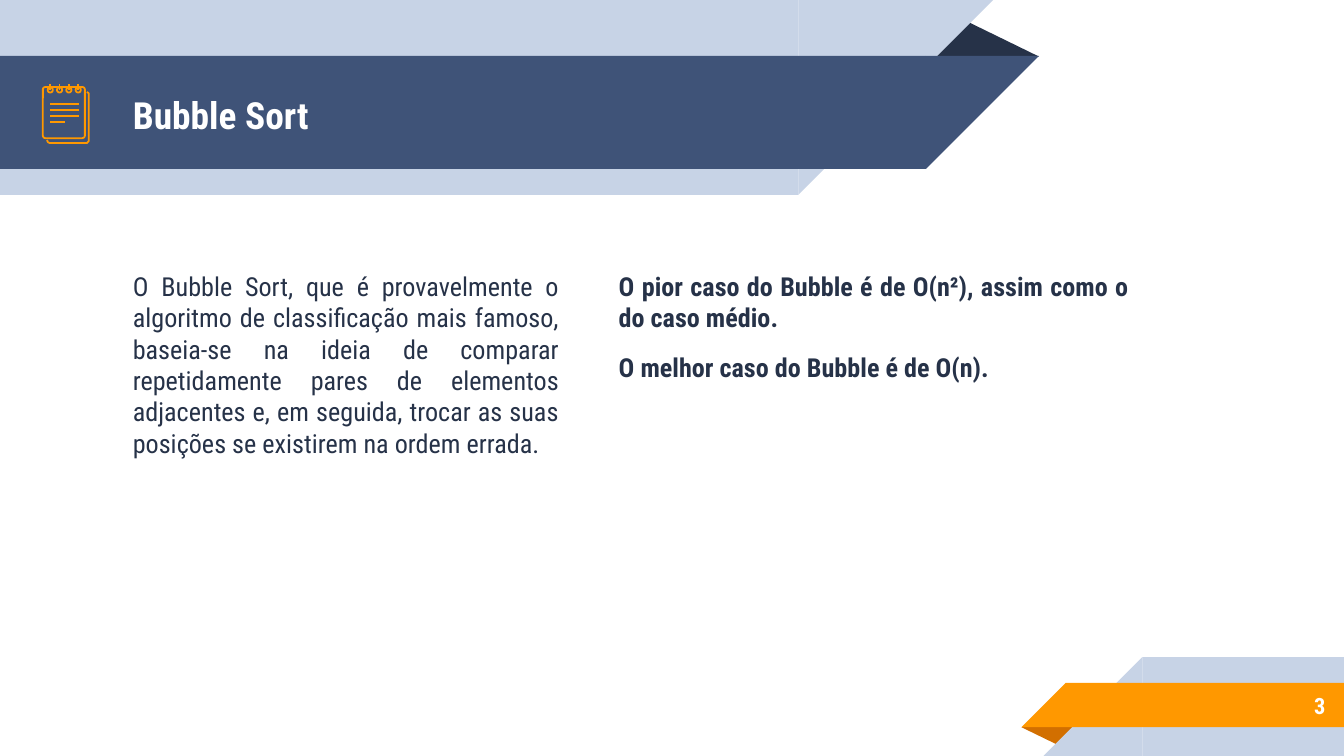
from lxml.etree import SubElement
from pptx import Presentation
from pptx.dml.color import RGBColor
from pptx.enum.shapes import MSO_CONNECTOR, MSO_SHAPE
from pptx.enum.text import MSO_ANCHOR, PP_ALIGN
from pptx.oxml.ns import qn
from pptx.util import Pt

FONT = "Roboto Condensed"
NAVY, BLUE, PALE = "263248", "3F5378", "C7D3E6"
ORANGE, RUST, WHITE = "FF9800", "D26F00", "FFFFFF"
SLIDE_WIDTH, SLIDE_HEIGHT = 720, 405


def color(hex_string):
    return RGBColor.from_string(hex_string)


def add_filled(shapes, kind, left, top, width, height, fill):
    shape = shapes.add_shape(kind, Pt(left), Pt(top), Pt(width), Pt(height))
    shape.shadow.inherit = False
    shape.fill.solid()
    shape.fill.fore_color.rgb = color(fill)
    shape.line.fill.background()
    return shape


def style_outline(shape):
    shape.shadow.inherit = False
    shape.fill.background()
    shape.line.color.rgb = color(ORANGE)
    shape.line.width = Pt(0.96)


def add_line(shapes, x1, y1, x2, y2):
    line = shapes.add_connector(MSO_CONNECTOR.STRAIGHT, Pt(x1), Pt(y1), Pt(x2), Pt(y2))
    line.line.color.rgb = color(ORANGE)
    line.line.width = Pt(0.96)
    SubElement(line._element.spPr, qn("a:effectLst"))


def add_text(slide, box, paragraphs, size=14, fill=NAVY, bold=False,
             align=PP_ALIGN.LEFT, anchor=MSO_ANCHOR.TOP, spacing=((0, 0),)):
    """Place paragraphs; spacing holds (before, after) for each of them."""
    frame = slide.shapes.add_textbox(*[Pt(length) for length in box]).text_frame
    frame.word_wrap = True
    frame.vertical_anchor = anchor
    frame.margin_left = frame.margin_right = Pt(7.2)
    frame.margin_top = frame.margin_bottom = Pt(7.2)
    for index, (text, (before, after)) in enumerate(zip(paragraphs, spacing)):
        paragraph = frame.add_paragraph() if index else frame.paragraphs[0]
        paragraph.alignment = align
        paragraph.space_before, paragraph.space_after = Pt(before), Pt(after)
        run = paragraph.add_run()
        run.text = text
        run.font.name, run.font.size, run.font.bold = FONT, Pt(size), bold
        run.font.color.rgb = color(fill)


def add_ribbon(slide, left, top, width, height, fill, tip):
    """Band with a 45 degree end, the tip being on its left or right."""
    add_filled(slide.shapes, MSO_SHAPE.RECTANGLE, left, top, width, height, fill)
    tip_left = left + width if tip == "right" else left - height
    end = add_filled(slide.shapes, MSO_SHAPE.RIGHT_TRIANGLE,
                     tip_left, top, height, height, fill)
    flip = "flipV" if tip == "right" else "flipH"
    end._element.spPr.find(qn("a:xfrm")).set(flip, "1")


def add_fold(slide, left, top, width, height, fill, rotation=0):
    fold = add_filled(slide.shapes, MSO_SHAPE.ISOSCELES_TRIANGLE,
                      left, top, width, height, fill)
    fold.adjustments[0] = 0.324
    fold.rotation = rotation


def add_notebook(slide, left, top):
    shapes = slide.shapes.add_group_shape().shapes

    # Back page, showing below and to the right
    edge = [(2.2, 30), (2.6, 31.1), (3.6, 31.6), (23.6, 31.6),
            (24.5, 30.6), (24.5, 5), (23.6, 4.2)]
    points = [(Pt(left + x), Pt(top + y)) for x, y in edge]
    builder = shapes.build_freeform(*points[0])
    builder.add_line_segments(points[1:], close=False)
    style_outline(builder.convert_to_shape())

    # Front page
    page = shapes.add_shape(MSO_SHAPE.ROUNDED_RECTANGLE, Pt(left), Pt(top + 1.6),
                            Pt(22.5), Pt(27.4))
    page.adjustments[0] = 0.06
    style_outline(page)

    # Binding rings
    for index in range(4):
        x = left + 3.9 + 5 * index
        ring = shapes.add_shape(MSO_SHAPE.OVAL, Pt(x - 1.4), Pt(top + 1.8),
                                Pt(2.8), Pt(2.8))
        style_outline(ring)
        add_line(shapes, x, top, x, top + 3)

    # Writing
    for index, length in enumerate((15.3, 15.3, 15.3, 8)):
        y = top + 10.7 + 3.2 * index
        add_line(shapes, left + 3.8, y, left + 3.8 + length, y)


def add_header(slide, left, top, title):
    add_fold(slide, left + 495.4, top + 10.1, 61.2, 20.2, NAVY)
    add_ribbon(slide, left, top, 427.7, 104.4, PALE, "right")
    add_ribbon(slide, left, top + 30, 496.1, 60.5, BLUE, "right")
    add_text(slide, (left + 64.1, top + 31, 414, 60.5), [title], size=20,
             fill=WHITE, bold=True, anchor=MSO_ANCHOR.MIDDLE)
    add_notebook(slide, left + 23, top + 45)


def add_footer(slide, right, bottom, number):
    add_fold(slide, right - 172.8, bottom - 15.4, 31, 10.2, RUST, rotation=180)
    add_ribbon(slide, right - 108, bottom - 52.9, 108, 52.9, PALE, "left")
    add_ribbon(slide, right - 149, bottom - 39.2, 149, 23.8, ORANGE, "left")
    add_text(slide, (right - 120, bottom - 39.8, 117.1, 25.2), [number], size=12,
             fill=WHITE, bold=True, align=PP_ALIGN.RIGHT, anchor=MSO_ANCHOR.MIDDLE)


def add_body(slide, left, top, height):
    add_text(slide, (left, top, 242.6, height), [
        "O Bubble Sort, que é provavelmente o algoritmo de classificação mais "
        "famoso, baseia-se na ideia de comparar repetidamente pares de elementos "
        "adjacentes e, em seguida, trocar as suas posições se existirem na ordem "
        "errada."], align=PP_ALIGN.JUSTIFY, spacing=((6, 0),))
    add_text(slide, (left + 260.3, top, 287.6, height), [
        "O pior caso do Bubble é de O(n²), assim como o do caso médio.",
        "O melhor caso do Bubble é de O(n)."],
        bold=True, align=PP_ALIGN.JUSTIFY, spacing=((6, 0), (10, 10)))


def main():
    presentation = Presentation()
    presentation.slide_width = Pt(SLIDE_WIDTH)
    presentation.slide_height = Pt(SLIDE_HEIGHT)
    slide = presentation.slides.add_slide(presentation.slide_layouts[6])
    add_header(slide, 0, 0, "Bubble Sort")
    add_body(slide, 64.1, 137.5, 138.2)
    add_footer(slide, SLIDE_WIDTH, SLIDE_HEIGHT, "3")
    presentation.save("out.pptx")


if __name__ == "__main__":
    main()
